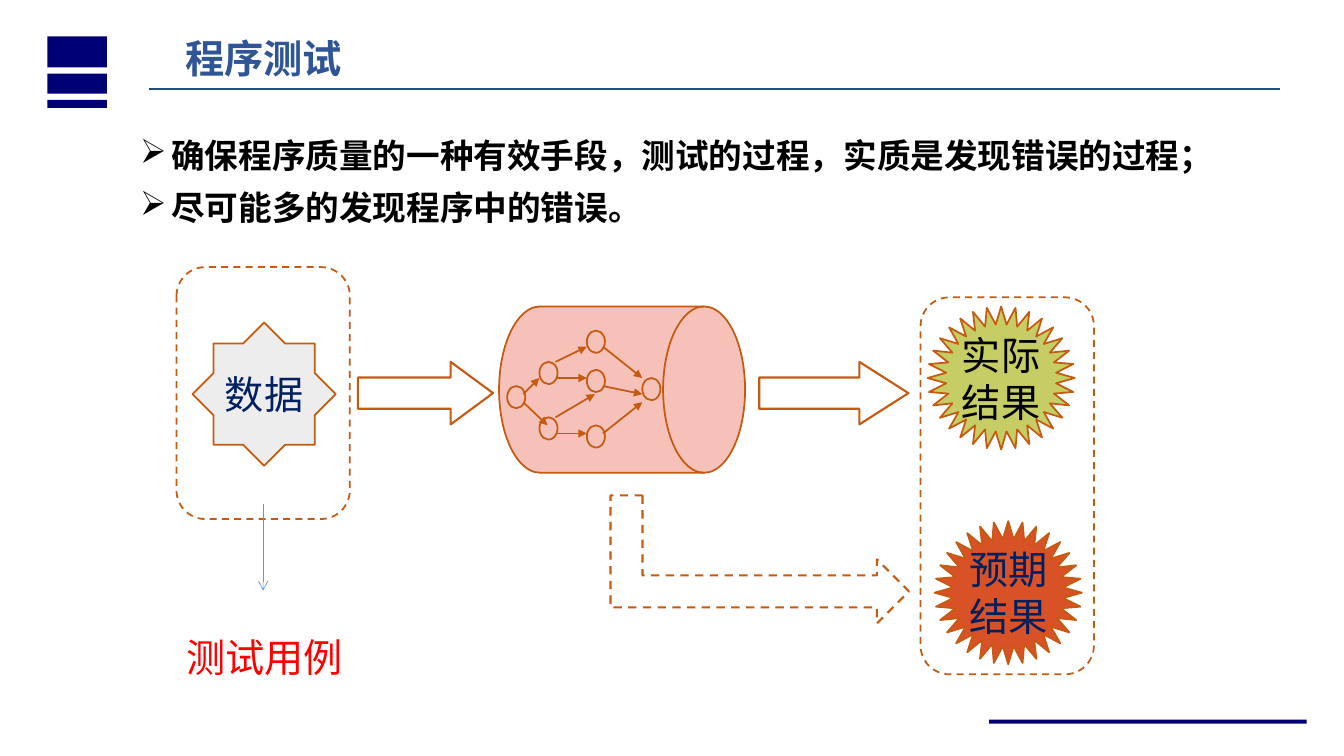
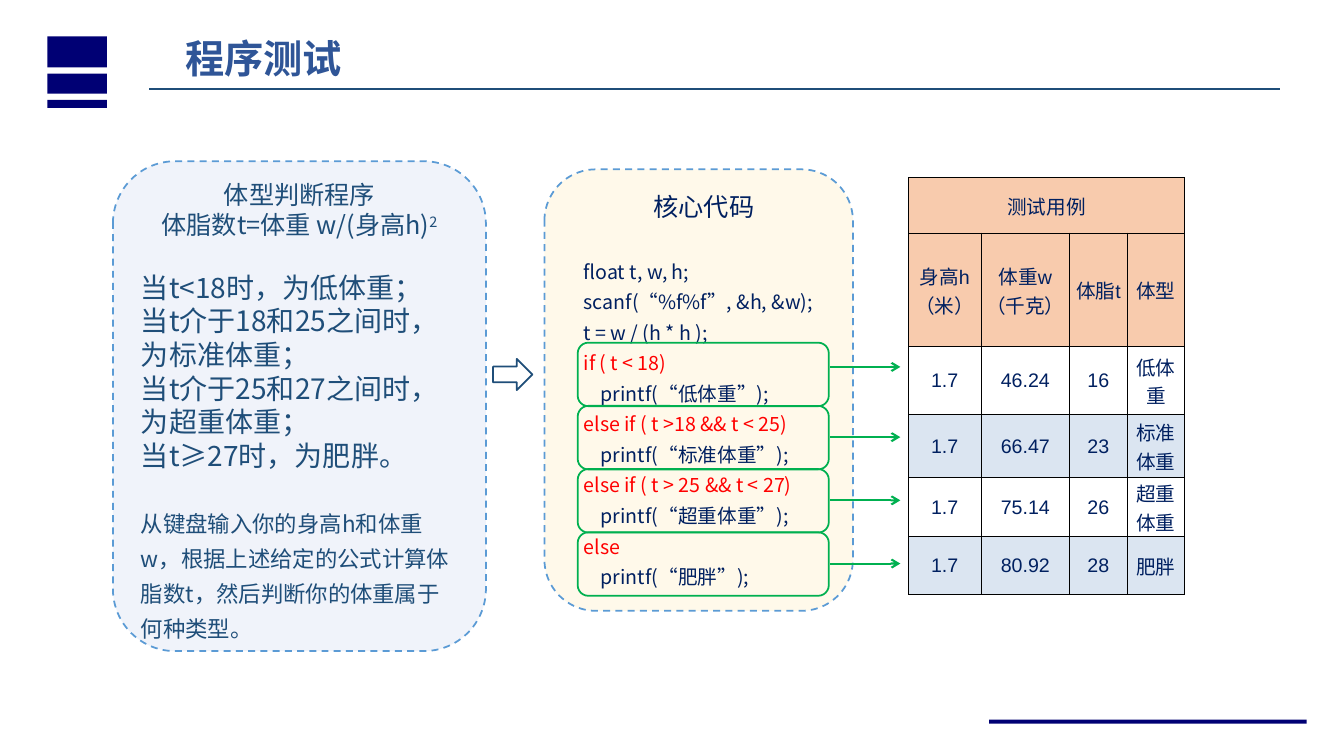
import pptx
import pptx.util
import pptx.dml.color
import pptx.enum.dml
import pptx.enum.shapes
import pptx.enum.text
import pptx.oxml

Inches, Pt = pptx.util.Inches, pptx.util.Pt
MSO = pptx.enum.shapes.MSO_SHAPE
ALIGN = pptx.enum.text.PP_ALIGN
ANCHOR = pptx.enum.text.MSO_ANCHOR
FIT = pptx.enum.text.MSO_AUTO_SIZE.SHAPE_TO_FIT_TEXT
SANS, ARIAL = "Noto Sans CJK SC", "Arial"
NS = 'xmlns:a="http://schemas.openxmlformats.org/drawingml/2006/main"'

COLORS = {
    "band": "000074", "title": "2F5597", "rule": "1F4E79", "black": "000000",
    "navy": "002060", "red": "FF0000", "orange": "C55A11", "blue": "5B9BD5",
    "green": "00B050", "data": "EDEDED", "drum": "F6C1B8", "actual": "C6CD65",
    "expected": "D95127", "task": "DAE3F3", "code": "FFF2CC",
    "header": "F8CBAD", "stripe": "DBE5F1",
}
CENTER = {"alignment": ALIGN.CENTER}
LOOSE = {"line_spacing": 1.3}
MIDDLE = {"vertical_anchor": ANCHOR.MIDDLE, "word_wrap": True}
UNWRAPPED = {"word_wrap": False, "auto_size": FIT}
WRAPPED = {"word_wrap": True, "auto_size": FIT}


# ---- Shared helpers ----
def apply(target, formats):
    for name, value in formats.items():
        setattr(target, name, value)


def rgb(color):
    return pptx.dml.color.RGBColor.from_string(COLORS[color])


def xml(markup):
    return pptx.oxml.parse_xml(markup)


def para(text, size, color, font=SANS, bold=False, superscript="", bullet="", indent=0, **formats):
    return dict(text=text, size=size, color=color, font=font, bold=bold,
                superscript=superscript, bullet=bullet, indent=indent, formats=formats)


def write(frame, paragraphs, formats):
    apply(frame, formats)
    for i, item in enumerate(paragraphs):
        line = frame.paragraphs[0] if i == 0 else frame.add_paragraph()
        apply(line, item["formats"])
        if item["indent"]:
            props = line._p.get_or_add_pPr()
            props.set("marL", str(Inches(item["indent"])))
            if item["bullet"]:
                props.set("indent", str(-Inches(item["indent"])))
                props.append(xml(f'<a:buChar {NS} char="{item["bullet"]}"/>'))
        for words, baseline in ((item["text"], 0), (item["superscript"], 30000)):
            if not words:
                continue
            run = line.add_run()
            run.text = words
            apply(run.font, {"size": Pt(item["size"]), "bold": item["bold"], "name": item["font"]})
            run.font.color.rgb = rgb(item["color"])
            props = run._r.get_or_add_rPr()
            props.append(xml(f'<a:ea {NS} typeface="{SANS}"/>'))
            if baseline:
                props.set("baseline", str(baseline))


def add_text(shapes, box, paragraphs, formats):
    write(shapes.add_textbox(*map(Inches, box)).text_frame, paragraphs, formats)


def add_shape(shapes, kind, box, fill=None, line=None, width=1.25, dashed=False,
              adjust=(), opacity=None, rotation=0):
    shape = shapes.add_shape(kind, *map(Inches, box))
    shape.shadow.inherit = False
    shape.rotation = rotation
    for i, value in enumerate(adjust):
        shape.adjustments[i] = value
    if fill:
        shape.fill.solid()
        shape.fill.fore_color.rgb = rgb(fill)
        if opacity:
            tint = shape.fill._xPr.solidFill[0]
            tint.append(xml(f'<a:alpha {NS} val="{opacity * 1000}"/>'))
    else:
        shape.fill.background()
    if line:
        shape.line.color.rgb = rgb(line)
        shape.line.width = Pt(width)
        if dashed:
            shape.line.dash_style = pptx.enum.dml.MSO_LINE.DASH
    else:
        shape.line.fill.background()
    return shape


def add_line(shapes, ends, color, width=1.25, head=None):
    line = shapes.add_connector(pptx.enum.shapes.MSO_CONNECTOR.STRAIGHT, *map(Inches, ends))
    line.line.color.rgb = rgb(color)
    line.line.width = Pt(width)
    if head:
        line.line._get_or_add_ln().append(xml(f'<a:tailEnd {NS} type="{head}"/>'))
    line._element.spPr.append(xml(f'<a:effectLst {NS}/>'))


def new_slide(deck, title):
    """Blank slide with the side bands, title, rule and footer bar."""
    shapes = deck.slides.add_slide(deck.slide_layouts[6]).shapes
    for top, height in ((0.36, 0.31), (0.73, 0.2), (0.99, 0.08)):
        add_shape(shapes, MSO.RECTANGLE, (0.47, top, 0.59, height), "band")
    add_shape(shapes, MSO.RECTANGLE, (9.81, 7.14, 3.15, 0.04), "band")
    add_text(shapes, (1.74, 0.29, 4.3, 0.57), [para(title, 28, "title", bold=True)], WRAPPED)
    add_line(shapes, (1.48, 0.88, 12.7, 0.88), "rule")
    return shapes


# ---- Slide 1: testing process ----
def add_test_data(shapes, box):
    x, y, w, h = box
    star = add_shape(shapes, MSO.STAR_8_POINT, (x + 0.16, y + 0.55, 1.42, 1.42),
                     "data", "orange", adjust=[0.383])
    write(star.text_frame, [para("数据", 28, "navy", ARIAL, **CENTER)],
          {**MIDDLE, "word_wrap": False})
    add_shape(shapes, MSO.ROUNDED_RECTANGLE, box, line="orange", dashed=True)
    middle = x + w / 2
    add_line(shapes, (middle, y + h - 0.15, middle, y + h + 0.71), "blue", 0.5, "arrow")
    add_text(shapes, (x, y + h + 0.94, 1.77, 0.65),
             [para("测试用例", 28, "red", ARIAL, **LOOSE)], UNWRAPPED)


def add_program(shapes, box):
    x, y = box[:2]
    parts = shapes.add_group_shape().shapes
    add_shape(parts, MSO.FLOWCHART_DIRECT_ACCESS_STORAGE, box, "drum", "orange")
    nodes = ((0.08, 0.79), (0.4, 0.55), (0.4, 1.1), (0.87, 0.24),
             (0.87, 0.63), (0.87, 1.18), (1.42, 0.71))
    for left, top in nodes:
        add_shape(parts, MSO.OVAL, (x + left, y + top, 0.18, 0.22), "drum", "orange")
    flows = ((0.24, 0.87, 0.4, 0.71), (0.24, 0.95, 0.48, 1.18),
             (0.56, 0.55, 0.87, 0.4), (0.56, 0.71, 0.87, 0.71),
             (0.56, 1.1, 0.95, 0.87), (0.56, 1.26, 0.87, 1.26),
             (1.03, 0.4, 1.42, 0.71), (1.03, 0.79, 1.42, 0.87), (1.03, 1.26, 1.42, 0.95))
    for x1, y1, x2, y2 in flows:
        add_line(parts, (x + x1, y + y1, x + x2, y + y2), "orange", head="triangle")


def add_results(shapes, box):
    x, y = box[:2]
    results = ((0.07, 0.09, "实际", "actual", "black"),
               (0.14, 2.22, "预期", "expected", "navy"))
    for left, top, label, fill, color in results:
        star = add_shape(shapes, MSO.STAR_32_POINT, (x + left, y + top, 1.46, 1.42),
                         fill, "orange", adjust=[0.375])
        write(star.text_frame, [para(word, 28, color, ARIAL, **CENTER) for word in (label, "结果")],
              {**MIDDLE, "word_wrap": False})
    add_shape(shapes, MSO.ROUNDED_RECTANGLE, box, line="orange", dashed=True)


def build_process(deck):
    shapes = new_slide(deck, "程序测试")
    goals = ("确保程序质量的一种有效手段，测试的过程，实质是发现错误的过程；",
             "尽可能多的发现程序中的错误。")
    add_text(shapes, (1.29, 1.17, 11.22, 1.1),
             [para(goal, 24, "black", bold=True, bullet="➢", indent=0.31, **LOOSE)
              for goal in goals], WRAPPED)
    add_test_data(shapes, (1.75, 2.65, 1.72, 2.5))
    add_program(shapes, (4.95, 3.04, 2.44, 1.65))
    add_results(shapes, (9.13, 2.95, 1.72, 3.74))
    # Arrows between the regions
    for left, width, point in ((3.55, 1.34, 0.677), (7.53, 1.48, 0.784)):
        add_shape(shapes, MSO.RIGHT_ARROW, (left, 3.59, width, 0.62),
                  line="orange", width=1.5, adjust=[0.5, point])
    add_shape(shapes, MSO.BENT_UP_ARROW, (6.9, 4.07, 1.27, 2.96), line="orange",
              width=1.5, dashed=True, adjust=[0.25] * 3, rotation=90)


# ---- Slide 2: test cases for the body type program ----
def add_task(shapes, box):
    panel = add_shape(shapes, MSO.ROUNDED_RECTANGLE, box, "task", "blue", dashed=True, opacity=40)
    gap = {"space_before": Pt(21.6)}
    left = {"alignment": ALIGN.LEFT}
    write(panel.text_frame, [
        para("体型判断程序", 18, "rule", **CENTER, **LOOSE),
        para("体脂数t=体重 w/(身高h)", 18, "rule", superscript="2", **CENTER),
        para("当t<18时，为低体重；", 20, "rule", **left, **gap),
        para("当t介于18和25之间时，为标准体重；", 20, "rule", **left),
        para("当t介于25和27之间时，为超重体重；", 20, "rule", **left),
        para("当t≥27时，为肥胖。", 20, "rule", **left),
        para("从键盘输入你的身高h和体重w，根据上述给定的公式计算体脂数t，"
             "然后判断你的体重属于何种类型。", 16, "rule", **left, **LOOSE, **gap),
    ], MIDDLE)


def add_code(shapes, box):
    x, y = box[:2]
    add_shape(shapes, MSO.ROUNDED_RECTANGLE, box, "code", "blue", dashed=True, opacity=40)
    branches = (("if ( t < 18)", "低体重"), ("else if ( t >18 && t < 25)", "标准体重"),
                ("else if ( t > 25 && t < 27)", "超重体重"), ("else", "肥胖"))
    lines = [para("核心代码", 18, "navy", **CENTER, **LOOSE),
             para("float t, w, h;", 14, "navy", space_before=Pt(22), **LOOSE),
             para("scanf(“%f%f”, &h, &w);", 14, "navy", **LOOSE),
             para("t = w / (h * h );", 14, "navy", **LOOSE)]
    for condition, kind in branches:
        lines += [para(condition, 14, "red", **LOOSE),
                  para(f"printf(“{kind}”);", 14, "navy", indent=0.17, **LOOSE)]
    add_text(shapes, (x + 0.29, y + 0.08, 2.58, 4.14), lines, UNWRAPPED)
    # One frame and one arrow for each branch
    for i, drop in enumerate((0.24, 0.31, 0.31, 0.31)):
        top = y + 1.72 + i * 0.627
        add_shape(shapes, MSO.ROUNDED_RECTANGLE, (x + 0.33, top, 2.49, 0.63), line="green")
        add_line(shapes, (x + 2.83, top + drop, x + 3.53, top + drop), "green", 1.5, "arrow")


def add_cases(shapes, box):
    rows = (("测试用例", "", "", ""),
            ("身高h\n（米）", "体重w\n（千克）", "体脂t", "体型"),
            ("1.7", "46.24", "16", "低体重"), ("1.7", "66.47", "23", "标准体重"),
            ("1.7", "75.14", "26", "超重体重"), ("1.7", "80.92", "28", "肥胖"))
    fills = ("header", "header", None, "stripe", None, "stripe")
    table = shapes.add_table(len(rows), 4, *map(Inches, box)).table
    apply(table, {"first_row": False, "horz_banding": False})
    for column, width in zip(table.columns, (0.72, 0.88, 0.57, 0.57)):
        column.width = Inches(width)
    for row, height in zip(table.rows, (0.55, 1.13, 0.67, 0.63, 0.58, 0.58)):
        row.height = Inches(height)
    margins = {"margin_left": Inches(0.01), "margin_right": Inches(0.01),
               "margin_top": Inches(0.01), "margin_bottom": 0,
               "vertical_anchor": ANCHOR.MIDDLE}
    for r, (values, fill) in enumerate(zip(rows, fills)):
        for c, value in enumerate(values):
            cell = table.cell(r, c)
            apply(cell, margins)
            write(cell.text_frame, [para(part, 14, "navy", ARIAL, **CENTER)
                                    for part in value.split("\n")], {})
            for side in "LRTB":
                cell._tc.get_or_add_tcPr().append(xml(
                    f'<a:ln{side} {NS} w="{Pt(0.5)}"><a:solidFill><a:srgbClr '
                    f'val="{COLORS["black"]}"/></a:solidFill></a:ln{side}>'))
            if fill:
                cell.fill.solid()
                cell.fill.fore_color.rgb = rgb(fill)
            else:
                cell.fill.background()
    table.cell(0, 0).merge(table.cell(0, 3))


def build_cases(deck):
    shapes = new_slide(deck, "程序测试")
    add_task(shapes, (1.12, 1.6, 3.7, 4.86))
    add_shape(shapes, MSO.RIGHT_ARROW, (4.89, 3.56, 0.39, 0.31), line="rule")
    add_code(shapes, (5.4, 1.68, 3.06, 4.38))
    add_cases(shapes, (9.01, 1.76, 2.74, 4.13))


def main():
    deck = pptx.Presentation()
    apply(deck, {"slide_width": Inches(13.33), "slide_height": Inches(7.5)})
    build_process(deck)
    build_cases(deck)
    deck.save("out.pptx")


if __name__ == "__main__":
    main()
